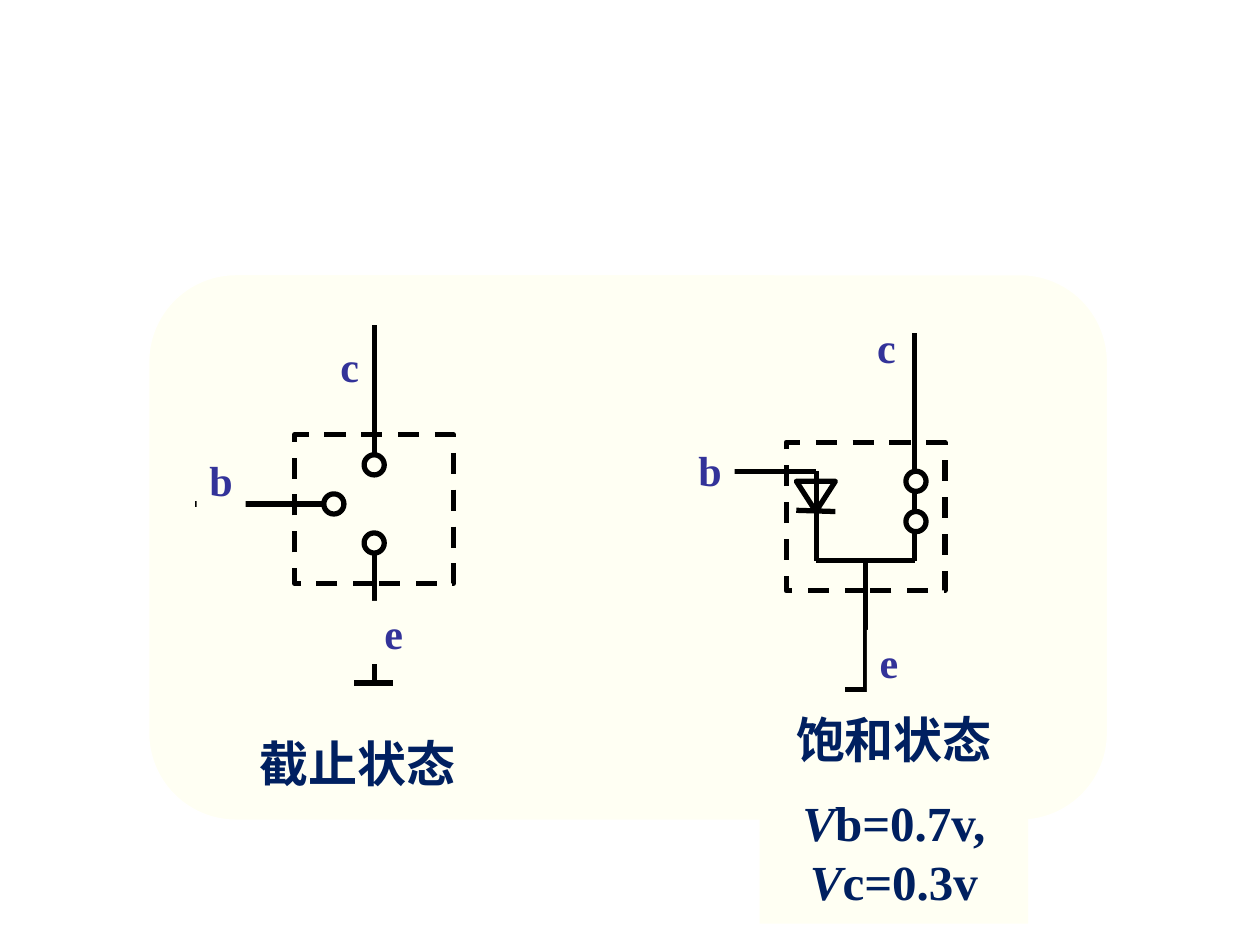
from pptx import Presentation
from pptx import util as u
from pptx.dml.color import RGBColor
from pptx.enum import dml, shapes, text
from pptx.oxml.ns import qn
from lxml import etree

COLORS = {"panel": "FFFFF3", "edge": "FFFFFF", "wire": "000000",
          "label": "333399", "caption": "002060"}
KINDS = shapes.MSO_SHAPE
FONT = "Times New Roman"
NODE = 0.16  # diameter of a switch contact

prs = Presentation()
prs.slide_width, prs.slide_height = u.Inches(10), u.Inches(7.5)
s = prs.slides.add_slide(prs.slide_layouts[6])


def add_shape(kind, x, y, w, h, line="wire", width=3):
    sp = s.shapes.add_shape(kind, *(u.Inches(v) for v in (x, y, w, h)))
    sp.shadow.inherit = False
    sp.fill.solid()
    sp.fill.fore_color.rgb = RGBColor.from_string(COLORS["panel"])
    if line:
        sp.line.color.rgb = RGBColor.from_string(COLORS[line])
        sp.line.width = u.Pt(width)
    else:
        sp.line.fill.background()
    return sp


def add_text(x, y, w, h, paragraphs, size, color, wrap):
    tf = add_shape(KINDS.RECTANGLE, x, y, w, h, line=None).text_frame
    tf.word_wrap = wrap
    tf.auto_size = text.MSO_AUTO_SIZE.SHAPE_TO_FIT_TEXT
    tf.vertical_anchor = text.MSO_ANCHOR.TOP
    for i, runs in enumerate(paragraphs):
        p = tf.add_paragraph() if i else tf.paragraphs[0]
        p.alignment = text.PP_ALIGN.CENTER
        if i:
            p.space_before = u.Pt(size / 2)
        for words in runs:
            r = p.add_run()
            r.text = words
            r.font.name, r.font.size, r.font.bold = FONT, u.Pt(size), True
            r.font.italic = words == "V"
            r.font.color.rgb = RGBColor.from_string(COLORS[color])


# Background panel
panel = add_shape(KINDS.ROUNDED_RECTANGLE, 1.18, 2.18, 7.61, 4.33, "edge", 0.75)
panel.adjustments[0] = 0.16

# Dashed transistor outlines
for x, y in [(2.34, 3.45), (6.24, 3.51)]:
    outline = add_shape(KINDS.RECTANGLE, x, y, 1.26, 1.18)
    outline.line.dash_style = dml.MSO_LINE.DASH

# Diode triangle of the saturated state
diode = add_shape(KINDS.ISOSCELES_TRIANGLE, 6.32, 3.82, 0.31, 0.24)
diode.rotation = 180

# Wires
wires = [
    # cut-off: base, collector, emitter, ground
    (2.57, 4, 1.55, 4), (2.97, 3.61, 2.97, 2.58),
    (2.97, 4.39, 2.97, 5.42), (2.81, 5.42, 3.12, 5.42),
    # saturated: base, diode bar, diode lead, bridge
    (5.77, 3.74, 6.48, 3.74), (6.32, 4.05, 6.63, 4.06),
    (6.48, 3.74, 6.48, 4.45), (6.48, 4.45, 7.26, 4.45),
    # saturated: switch leads, collector, emitter, ground
    (7.26, 4.45, 7.26, 4.21), (7.26, 4.06, 7.26, 3.9),
    (7.26, 3.74, 7.26, 2.64), (6.87, 4.45, 6.87, 5.47),
    (6.71, 5.47, 7.03, 5.47),
]
for ends in wires:
    wire = s.shapes.add_connector(shapes.MSO_CONNECTOR.STRAIGHT,
                                  *(u.Inches(v) for v in ends))
    wire.line.color.rgb = RGBColor.from_string(COLORS["wire"])
    wire.line.width = u.Pt(3)
    etree.SubElement(wire._element.spPr, qn("a:effectLst"))

# Switch contacts
for x, y in [(2.57, 3.92), (2.89, 3.61), (2.89, 4.23), (7.19, 4.06), (7.19, 3.74)]:
    add_shape(KINDS.OVAL, x, y, NODE, NODE)

# State captions
add_text(1.93, 5.77, 1.81, 0.57, [["截止状态"]], 28, "caption", True)
add_text(6.03, 5.58, 2.13, 1.75,
         [["饱和状态"], ["V", "b=0.7v, ", "V", "c=0.3v"]], 28, "caption", True)

# Terminal labels
for name, x, y in [("c", 6.86, 2.5), ("b", 5.44, 3.48), ("e", 6.88, 5),
                   ("e", 2.95, 4.77), ("b", 1.56, 3.56), ("c", 2.6, 2.65)]:
    add_text(x, y, 0.39 if name == "b" else 0.35, 0.5, [[name]], 24, "label", False)

prs.save("out.pptx")
